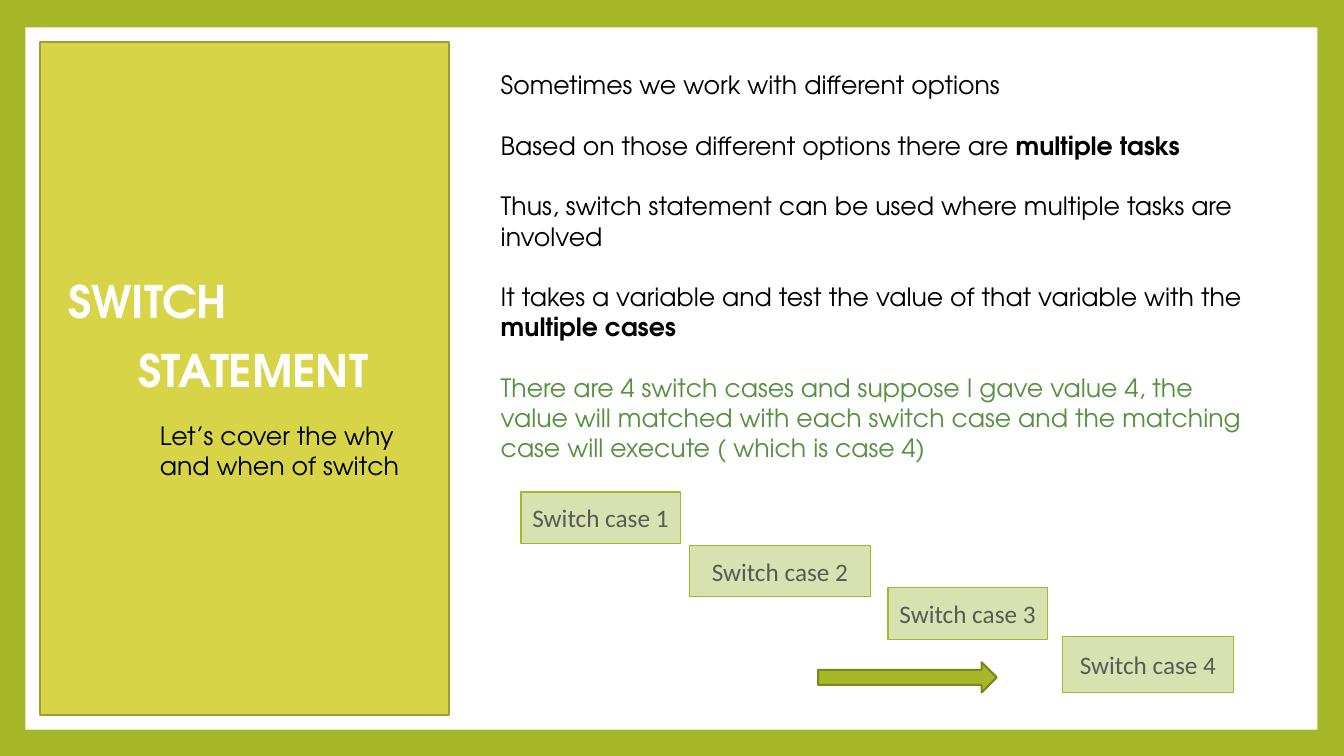
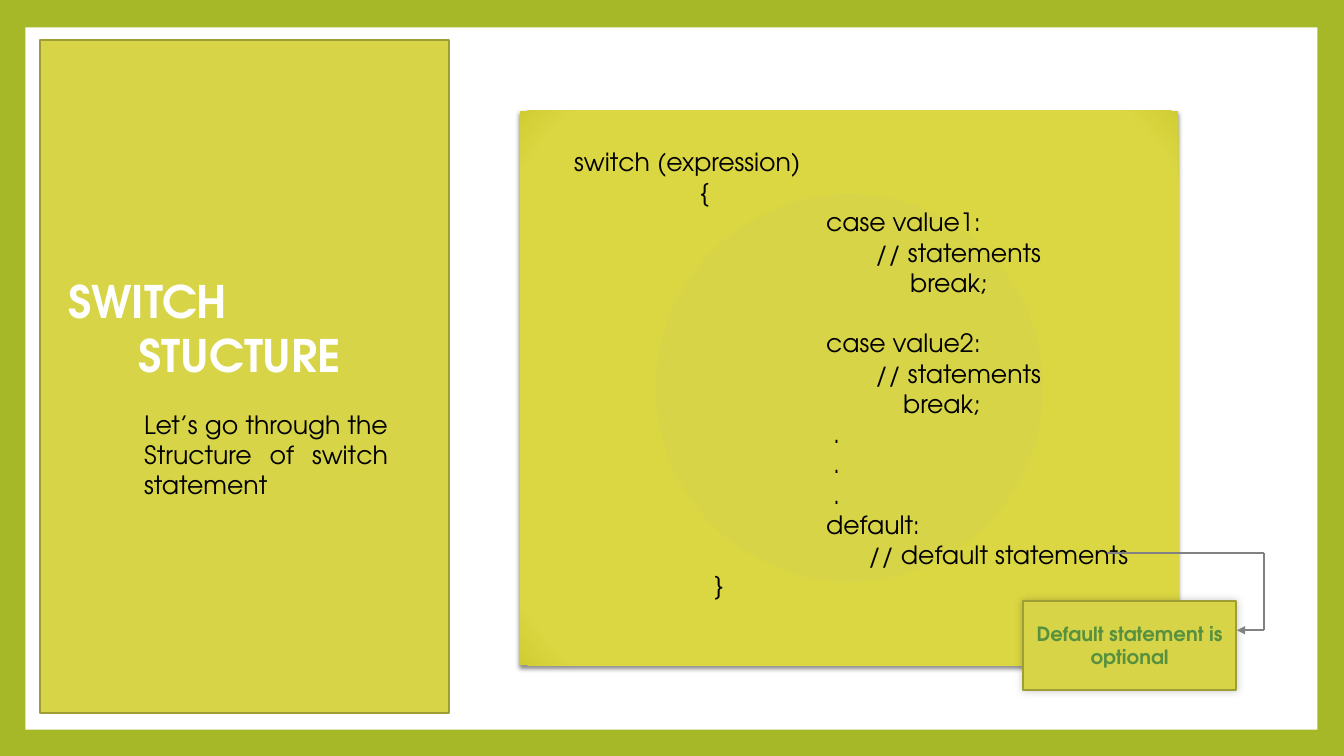
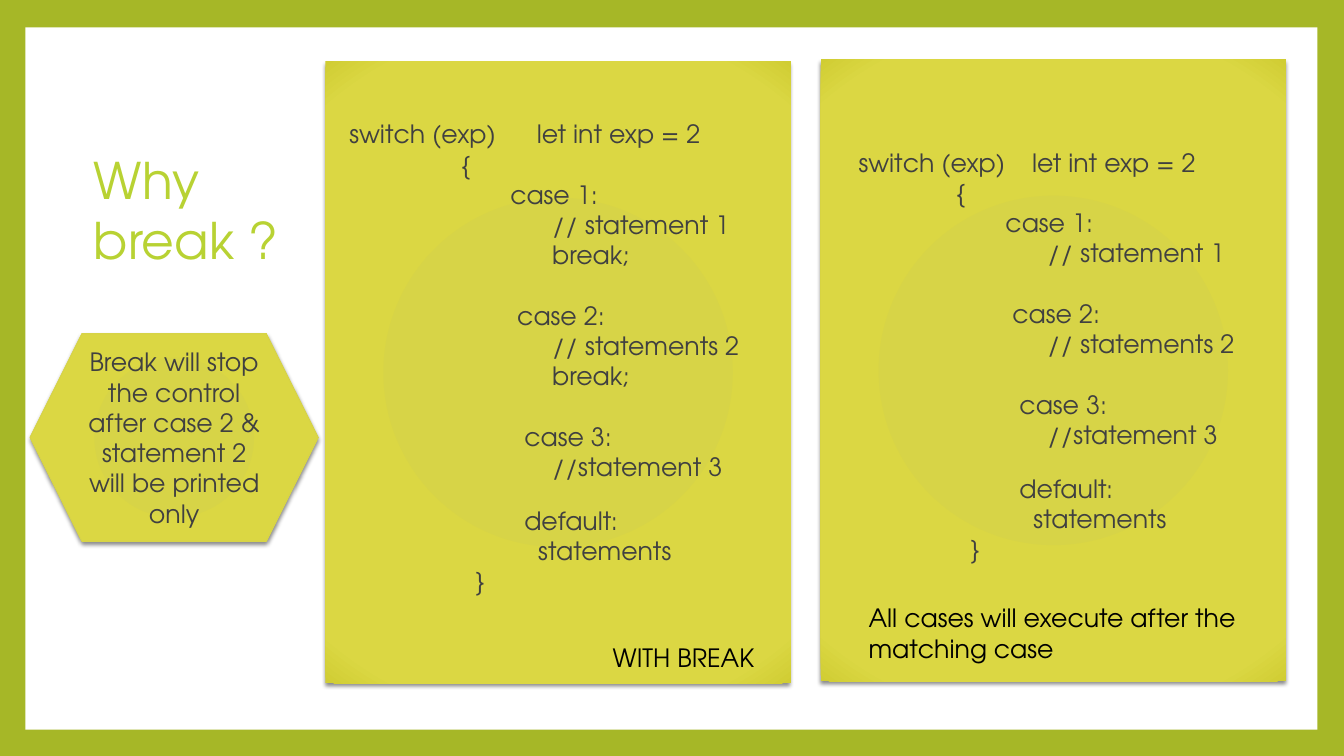
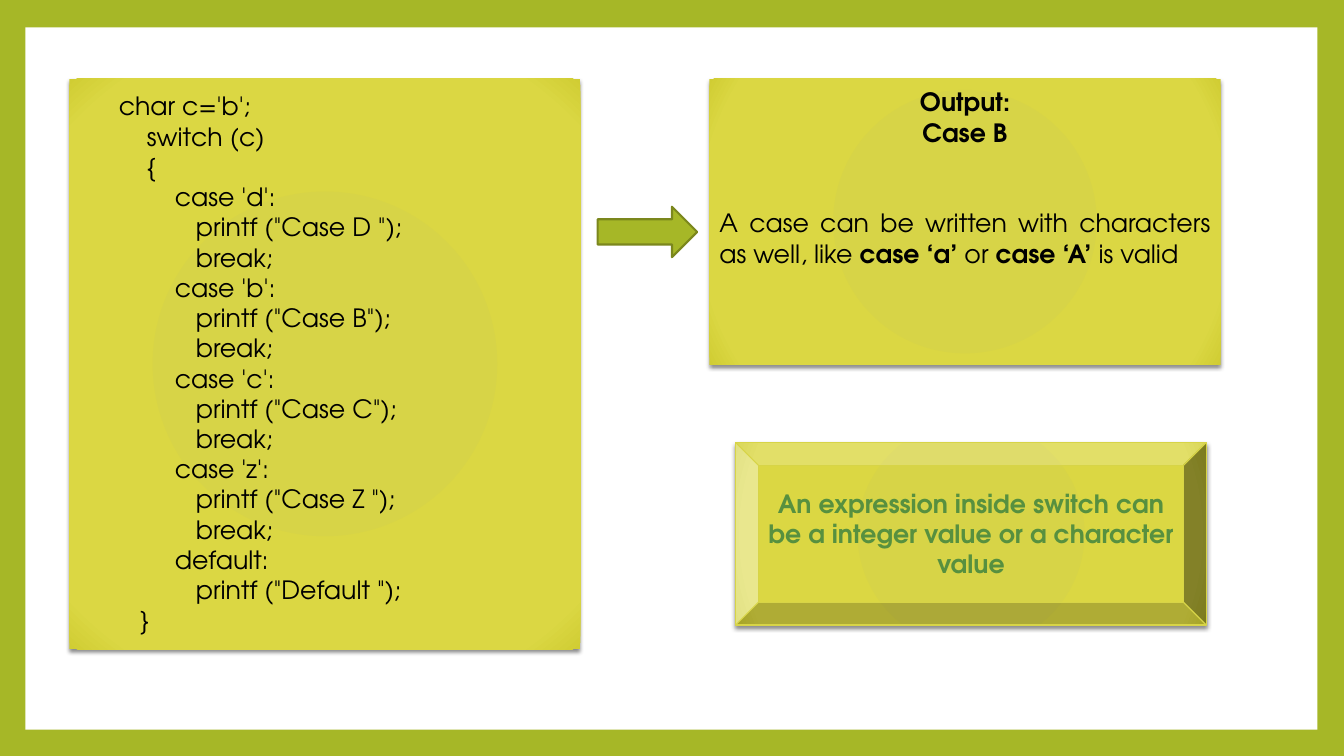
from pptx import Presentation
from pptx.dml.color import RGBColor
from pptx.enum.shapes import MSO_CONNECTOR, MSO_SHAPE
from pptx.enum.text import MSO_ANCHOR, MSO_AUTO_SIZE, PP_ALIGN
from pptx.oxml import parse_xml
from pptx.oxml.ns import nsdecls, qn
from pptx.util import Cm, Pt

GREEN = RGBColor(0xA6, 0xB7, 0x27)
DARK_GREEN = RGBColor(0x7B, 0x87, 0x1D)
LEAF_GREEN = RGBColor(0x57, 0x90, 0x3F)
PALE_GREEN = RGBColor(0xD8, 0xE1, 0xB0)
LIME = RGBColor(0xB8, 0xD2, 0x33)
OLIVE = RGBColor(0xD7, 0xD4, 0x47)
OLIVE_MIDDLE = RGBColor(0xDB, 0xD7, 0x43)
OLIVE_EDGE = RGBColor(0xD0, 0xCD, 0x33)
OLIVE_LINE = RGBColor(0x9F, 0x9D, 0x35)
WHITE = RGBColor(0xFF, 0xFF, 0xFF)
BLACK = RGBColor(0x00, 0x00, 0x00)
CHARCOAL = RGBColor(0x40, 0x40, 0x40)
GREY = RGBColor(0x59, 0x59, 0x59)
LINE_GREY = RGBColor(0x81, 0x81, 0x83)

FONT = "TeX Gyre Adventor"
SPACE_WIDTH = Pt(5)
LINE_HEIGHT = 21.6
TAB_DISTANCE = Cm(6.12)

GRADIENT_STOPS = ((0, OLIVE), (90, OLIVE_MIDDLE), (100, OLIVE_EDGE))
CARD_SHADOW = (45, 3, 2, 90)
NOTE_SHADOW = (20, 6, 0, 315)

WHY_SWITCH = """\
Sometimes we work with different options

Based on those different options there are **multiple tasks**

Thus, switch statement can be used where multiple tasks are involved

It takes a variable and test the value of that variable with the **multiple cases**"""

SWITCH_EXAMPLE = (
    "There are 4 switch cases and suppose I gave value 4, the value will matched "
    "with each switch case and the matching case will execute ( which is case 4)"
)

SWITCH_SYNTAX = """\
switch (expression)
                  {
                                    case value1:
                                           // statements
                                                break;

                                    case value2:
                                           // statements
                                               break;
                                     .
                                     .
                                     .
                                    default:
                                          // default statements
                    }"""

CODE_WITH_BREAK = """\
  switch (exp)\tlet int exp = 2
                  {
                         case 1:
                               // statement 1
                               break;

                          case 2:
                               // statements 2
                               break;

                           case 3:
                               //statement 3"""

CODE_WITHOUT_BREAK = """\
    switch (exp)\tlet int exp = 2
                  {
                         case 1:
                               // statement 1

                          case 2:
                               // statements 2

                           case 3:
                               //statement 3"""

DEFAULT_BRANCH = """\
                           default:
                             statements
                    }"""

CHARACTER_SWITCH = """\
 char c='b';
     switch (c)
     {
         case 'd':
            printf ("Case D ");
            break;
         case 'b':
            printf ("Case B");
            break;
         case 'c':
            printf ("Case C");
            break;
         case 'z':
            printf ("Case Z ");
            break;
         default:
            printf ("Default ");
    }"""


def write(frame, text, *, size=18, color=BLACK, font=FONT, bold=False,
          align=PP_ALIGN.LEFT, before=0):
    """Append one paragraph per line of text.

    Leading spaces become a first-line indent, blank lines become space before
    the next paragraph, and **marks** set bold.
    """
    for line in text.split("\n"):
        content = line.lstrip(" ")
        if not content:
            before += LINE_HEIGHT
            continue
        paragraph = frame.add_paragraph() if frame.text else frame.paragraphs[0]
        paragraph.alignment = align
        paragraph.space_before = Pt(before)
        before = 0
        indent = (len(line) - len(content)) * SPACE_WIDTH
        properties = paragraph._p.get_or_add_pPr()
        properties.set("marL", "0")
        properties.set("indent", str(indent))
        if "\t" in content:
            properties.append(parse_xml(
                f'<a:tabLst {nsdecls("a")}>'
                f'<a:tab pos="{indent + TAB_DISTANCE}" algn="l"/></a:tabLst>'))
        for index, part in enumerate(content.split("**")):
            if part:
                run = paragraph.add_run()
                run.text = part
                run.font.name = font
                run.font.size = Pt(size)
                run.font.bold = bold or index % 2 == 1
                run.font.color.rgb = color


class Deck:
    """Holds the shared style and the slide being built."""

    def __init__(self):
        self.presentation = Presentation()
        self.presentation.slide_width = Cm(33.87)
        self.presentation.slide_height = Cm(19.05)
        background = self.presentation.slide_master.background.fill
        background.solid()
        background.fore_color.rgb = GREEN
        self.slide = None

    def new_slide(self, titled=True):
        layout = self.presentation.slide_layouts[5 if titled else 6]
        self.slide = self.presentation.slides.add_slide(layout)
        self.shape((0.64, 0.69, 32.56, 17.7), WHITE)

    def title(self, box, text, **style):
        """Place the title above the shapes drawn so far; return its frame."""
        title = self.slide.shapes.title
        self.slide.shapes.element.append(title.element)
        title.left, title.top, title.width, title.height = map(Cm, box)
        frame = title.text_frame
        frame.word_wrap = True
        frame.auto_size = MSO_AUTO_SIZE.NONE
        frame.vertical_anchor = MSO_ANCHOR.TOP
        write(frame, text, **style)
        return frame

    def side_panel(self, top, first, second, gap=0):
        """Draw the left panel with its title staggered over two lines."""
        self.shape((1.02, top, 10.29, 16.94), OLIVE, OLIVE_LINE)
        style = dict(size=32, color=WHITE, bold=True)
        frame = self.title((1.47, 6.78, 8.92, 3.5), first, **style)
        write(frame, " " * 10 + second, before=gap, **style)

    def text(self, box, text, **style):
        frame = self.slide.shapes.add_textbox(*map(Cm, box)).text_frame
        frame.word_wrap = True
        write(frame, text, **style)
        return frame

    def shape(self, box, fill, line=None, line_width=1.5, kind=MSO_SHAPE.RECTANGLE,
              shadow=None):
        shape = self.slide.shapes.add_shape(kind, *map(Cm, box))
        shape.shadow.inherit = False
        shape.fill.solid()
        shape.fill.fore_color.rgb = fill
        if line is None:
            shape.line.fill.background()
        else:
            shape.line.color.rgb = line
            shape.line.width = Pt(line_width)
        if shadow:
            alpha, blur, distance, angle = shadow
            shape.element.spPr.find(qn("a:effectLst")).append(parse_xml(
                f'<a:outerShdw {nsdecls("a")} blurRad="{Pt(blur)}" '
                f'dist="{Pt(distance)}" dir="{angle * 60000}" rotWithShape="0">'
                f'<a:srgbClr val="{BLACK}"><a:alpha val="{alpha * 1000}"/>'
                '</a:srgbClr></a:outerShdw>'))
        shape.text_frame.word_wrap = True
        shape.text_frame.vertical_anchor = MSO_ANCHOR.MIDDLE
        return shape

    def card(self, box, kind=MSO_SHAPE.RECTANGLE, line=None, bottom=0.13):
        """Draw a shaded card with a shadow; return its text frame."""
        card = self.shape(box, OLIVE, line, 0.79, kind, CARD_SHADOW)
        stops = "".join(
            f'<a:gs pos="{position * 1000}"><a:srgbClr val="{color}"/></a:gs>'
            for position, color in GRADIENT_STOPS)
        gradient = parse_xml(
            f'<a:gradFill {nsdecls("a")}><a:gsLst>{stops}</a:gsLst>'
            '<a:path path="circle"><a:fillToRect l="100000" t="100000" '
            'r="100000" b="100000"/></a:path></a:gradFill>')
        properties = card.element.spPr
        properties.replace(properties.find(qn("a:solidFill")), gradient)
        card.text_frame.margin_bottom = Cm(bottom)
        return card.text_frame

    def block_arrow(self, box):
        self.shape(box, GREEN, DARK_GREEN, kind=MSO_SHAPE.RIGHT_ARROW)

    def arrow_route(self, points):
        """Join the points with straight lines, the last with an arrowhead."""
        for start, end in zip(points, points[1:]):
            connector = self.slide.shapes.add_connector(
                MSO_CONNECTOR.STRAIGHT, *map(Cm, start + end))
            connector.line.color.rgb = LINE_GREY
            connector.line.width = Pt(1.5)
            connector.element.spPr.append(
                parse_xml(f'<a:effectLst {nsdecls("a")}/>'))
        connector.line._get_or_add_ln().append(
            parse_xml(f'<a:tailEnd {nsdecls("a")} type="triangle"/>'))


def switch_statement(deck):
    deck.new_slide()
    deck.side_panel(1.07, "SWITCH", "STATEMENT", gap=10.5)
    deck.text((3.78, 10.46, 6.65, 1.8), "Let’s cover the why and when of switch")
    frame = deck.text((12.37, 1.63, 19.43, 11.02), WHY_SWITCH)
    write(frame, SWITCH_EXAMPLE, color=LEAF_GREEN, before=LINE_HEIGHT)
    cases = (
        (13.13, 12.4, 4.01, 1.3),
        (17.37, 13.74, 4.57, 1.3),
        (22.38, 14.81, 4.01, 1.3),
        (26.77, 16.03, 4.32, 1.42),
    )
    for number, box in enumerate(cases, 1):
        case = deck.shape(box, PALE_GREEN, GREEN, 0.79)
        write(case.text_frame, f"Switch case {number}", font="Calibri",
              color=GREY, align=PP_ALIGN.CENTER)
    deck.block_arrow((20.62, 16.69, 4.5, 0.76))


def switch_structure(deck):
    deck.new_slide()
    deck.side_panel(1.02, "SWITCH", "STUCTURE")
    deck.text((3.38, 10.19, 6.65, 2.57),
              "Let’s go through the Structure of switch statement",
              align=PP_ALIGN.JUSTIFY)
    deck.card((13.11, 2.79, 16.59, 13.97))
    deck.text((14.22, 3.56, 16.94, 11.79), SWITCH_SYNTAX)
    note = deck.shape((25.78, 15.14, 5.38, 2.24), OLIVE, OLIVE_LINE,
                      shadow=NOTE_SHADOW)
    write(note.text_frame, "Default statement is optional", size=14,
          color=LEAF_GREEN, bold=True, align=PP_ALIGN.CENTER)
    deck.arrow_route(
        ((27.89, 13.94), (31.85, 13.94), (31.85, 15.88), (31.17, 15.88)))


def why_break(deck):
    deck.new_slide()
    for left, top, code in ((8.2, 1.55, CODE_WITH_BREAK),
                            (20.68, 1.5, CODE_WITHOUT_BREAK)):
        frame = deck.card((left, top, 11.73, 15.67), bottom=0.89)
        write(frame, code, color=CHARCOAL)
        write(frame, DEFAULT_BRANCH, color=CHARCOAL, before=16.8)
    hexagon = deck.card((0.76, 8.41, 7.26, 5.23), MSO_SHAPE.HEXAGON, OLIVE)
    write(hexagon, "Break will stop the control after case 2 & statement 2 "
          "will be printed only", color=CHARCOAL, align=PP_ALIGN.CENTER)
    deck.text((15.19, 16.05, 5, 1.02), "WITH BREAK")
    deck.text((21.64, 15.06, 10.87, 1.8),
              "All cases will execute after the matching case")
    deck.title((2.11, 3.63, 5.56, 3.33), "Why break ?", size=36, color=LIME)


def character_cases(deck):
    deck.new_slide(titled=False)
    deck.card((1.75, 1.98, 12.88, 14.38))
    deck.text((2.57, 2.16, 16.94, 14.88), CHARACTER_SWITCH)
    deck.block_arrow((15.06, 5.21, 2.51, 1.27))
    output = deck.card((17.88, 1.98, 12.88, 7.21), bottom=2.35)
    write(output, "Output:\nCase B", bold=True, align=PP_ALIGN.CENTER)
    write(output, "A case can be written with characters as well, like "
          "**case ‘a’** or **case ‘A’ **is valid",
          align=PP_ALIGN.JUSTIFY, before=2 * LINE_HEIGHT)
    bevel = deck.card((18.54, 11.15, 11.86, 4.6), MSO_SHAPE.BEVEL, OLIVE)
    write(bevel, "An expression inside switch can be a integer value or a "
          "character value", color=LEAF_GREEN, bold=True, align=PP_ALIGN.CENTER)


def main():
    deck = Deck()
    for build in (switch_statement, switch_structure, why_break, character_cases):
        build(deck)
    deck.presentation.save("out.pptx")


if __name__ == "__main__":
    main()
